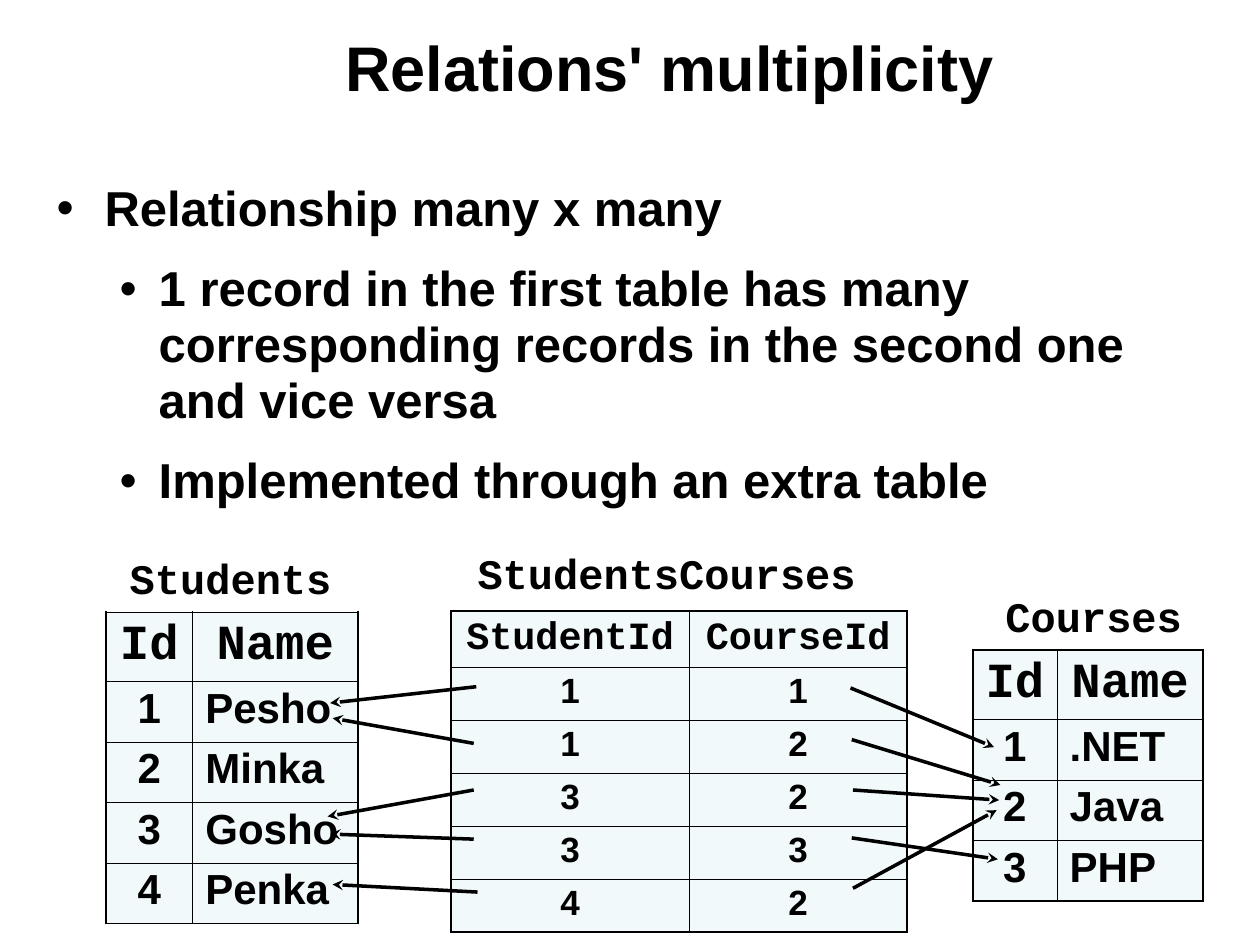
from dataclasses import dataclass

from lxml import etree
from pptx import Presentation
from pptx import util as u
from pptx.dml.color import RGBColor
from pptx.enum import shapes, text
from pptx.oxml.ns import qn


@dataclass
class Theme:
    ink: str = "000000"
    cell: str = "E5F5F7"
    cell_alpha: int = 50000
    sans: str = "Arial"
    mono: str = "Courier New"
    title: int = 36
    body: int = 28
    label: int = 24
    outer: float = 1.08
    inner: float = 0.45
    arrow: float = 2


def child(parent, tag, **attributes):
    return etree.SubElement(parent, qn(tag), attributes)


class Deck:
    def __init__(self, theme):
        self.theme = theme
        self.presentation = Presentation()
        self.presentation.slide_width = u.Inches(10)
        self.presentation.slide_height = u.Inches(7.5)
        self.slide = self.presentation.slides.add_slide(self.presentation.slide_layouts[1])

    def add_words(self, paragraph, words, size, face, **formats):
        """Put one styled run in a paragraph and apply its paragraph formats."""
        for key, value in formats.items():
            setattr(paragraph, key, value)
        run = paragraph.add_run()
        run.text = words
        style = {"name": face, "size": u.Pt(size), "bold": True}
        for key, value in style.items():
            setattr(run.font, key, value)
        run.font.color.rgb = RGBColor.from_string(self.theme.ink)

    def place(self, shape, left, top, width, height):
        box = {"left": left, "top": top, "width": width, "height": height}
        for key, value in box.items():
            setattr(shape, key, u.Inches(value))
        return shape.text_frame

    def title(self, words, *box):
        frame = self.place(self.slide.shapes.title, *box)
        frame.vertical_anchor = text.MSO_ANCHOR.MIDDLE
        frame.auto_size = text.MSO_AUTO_SIZE.NONE
        self.add_words(frame.paragraphs[0], words, self.theme.title, self.theme.sans,
                       alignment=text.PP_ALIGN.LEFT, line_spacing=0.85)

    def bullets(self, items, *box):
        frame = self.place(self.slide.placeholders[1], *box)
        frame.auto_size = text.MSO_AUTO_SIZE.NONE
        indents = [(0.38, -0.38), (0.81, -0.31)]
        for index, (level, words) in enumerate(items):
            paragraph = frame.add_paragraph() if index else frame.paragraphs[0]
            properties = paragraph._p.get_or_add_pPr()
            for key, value in zip(("marL", "indent"), indents[level]):
                properties.set(key, str(u.Inches(value)))
            child(child(properties, "a:buClr"), "a:srgbClr", val=self.theme.ink)
            child(properties, "a:buFont", typeface=self.theme.sans)
            child(properties, "a:buChar", char="•")
            self.add_words(paragraph, words, self.theme.body, self.theme.sans, level=level,
                           line_spacing=0.95, space_before=u.Pt(14 if index else 0))

    def label(self, words, *box):
        frame = self.slide.shapes.add_textbox(*map(u.Inches, box)).text_frame
        frame.word_wrap = False
        self.add_words(frame.paragraphs[0], words, self.theme.label, self.theme.mono,
                       alignment=text.PP_ALIGN.CENTER, line_spacing=0.9)

    def borders(self, cell, edges):
        properties = cell._tc.get_or_add_tcPr()
        for index, (side, is_outer) in enumerate(edges.items()):
            width = self.theme.outer if is_outer else self.theme.inner
            line = etree.Element(qn(f"a:ln{side}"), w=str(u.Pt(width)))
            child(child(line, "a:solidFill"), "a:srgbClr", val=self.theme.ink)
            properties.insert(index, line)

    def table(self, rows, left, top, widths, heights, head_size, size, last_align):
        grid = self.slide.shapes.add_table(
            len(rows), len(widths), u.Inches(left), u.Inches(top),
            u.Inches(sum(widths)), u.Inches(heights[0] + heights[1] * (len(rows) - 1))).table
        grid.first_row = grid.horz_banding = False
        for column, width in zip(grid.columns, widths):
            column.width = u.Inches(width)
        last_row, last_column = len(rows) - 1, len(widths) - 1
        for r, row in enumerate(rows):
            grid.rows[r].height = u.Inches(heights[min(r, 1)])
            for c, words in enumerate(row):
                cell = grid.cell(r, c)
                cell.fill.solid()
                cell.fill.fore_color.rgb = RGBColor.from_string(self.theme.cell)
                colour = cell._tc.tcPr.find(".//" + qn("a:srgbClr"))
                child(colour, "a:alpha", val=str(self.theme.cell_alpha))
                self.borders(cell, {"L": c == 0, "R": c == last_column,
                                    "T": r == 0, "B": r == last_row})
                align = last_align if r and c == last_column else text.PP_ALIGN.CENTER
                self.add_words(cell.text_frame.paragraphs[0], words,
                               size if r else head_size,
                               self.theme.sans if r else self.theme.mono,
                               alignment=align, line_spacing=0.95)

    def arrow(self, *ends):
        link = self.slide.shapes.add_connector(
            shapes.MSO_CONNECTOR.STRAIGHT, *map(u.Inches, ends))
        link.line.color.rgb = RGBColor.from_string(self.theme.ink)
        link.line.width = u.Pt(self.theme.arrow)
        child(link.line._get_or_add_ln(), "a:tailEnd", type="stealth")
        child(link._element.spPr, "a:effectLst")


def main():
    deck = Deck(Theme())

    # Heading and explanation
    deck.title("Relations' multiplicity", 2.64, 0.08, 7.17, 0.99)
    deck.bullets([
        (0, "Relationship many x many"),
        (1, "1 record in the first table has many corresponding records "
            "in the second one and vice versa"),
        (1, "Implemented through an extra table"),
    ], 0.35, 1.39, 9.29, 5.83)

    # The two entity tables
    left, center = text.PP_ALIGN.LEFT, text.PP_ALIGN.CENTER
    students = ["Pesho", "Minka", "Gosho", "Penka"]
    courses = [".NET", "Java", "PHP"]
    for names, x, y, widths in ((students, 0.84, 4.86, (0.69, 1.31)),
                                (courses, 7.72, 5.16, (0.67, 1.16))):
        rows = [("Id", "Name")] + [(str(key), name) for key, name in enumerate(names, 1)]
        deck.table(rows, x, y, widths, (0.55, 0.48), 28, 24, left)
    deck.label("Students", 0.93, 4.38, 1.8, 0.46)
    deck.label("Courses", 7.88, 4.68, 1.6, 0.46)

    # The extra table that joins them
    pairs = ["11", "12", "32", "33", "42"]
    deck.table([("StudentId", "CourseId"), *pairs], 3.58, 4.85, (1.89, 1.73),
               (0.45, 0.42), 22, 20, center)
    deck.label("StudentsCourses", 3.69, 4.34, 3.2, 0.46)

    # Arrows from each pair to its student, then to its course
    student_links = [(3.78, 5.45, 2.62, 5.58), (3.76, 5.9, 2.64, 5.7),
                     (3.76, 6.27, 2.6, 6.48), (3.76, 6.66, 2.62, 6.62),
                     (3.79, 7.08, 2.64, 7.02)]
    course_links = [(6.75, 5.46, 7.89, 5.93), (6.76, 5.87, 7.94, 6.23),
                    (6.77, 6.27, 7.93, 6.35), (6.76, 6.65, 7.92, 6.82),
                    (6.77, 7.05, 7.91, 6.43)]
    for ends in student_links + course_links:
        deck.arrow(*ends)

    deck.presentation.save("out.pptx")


if __name__ == "__main__":
    main()
